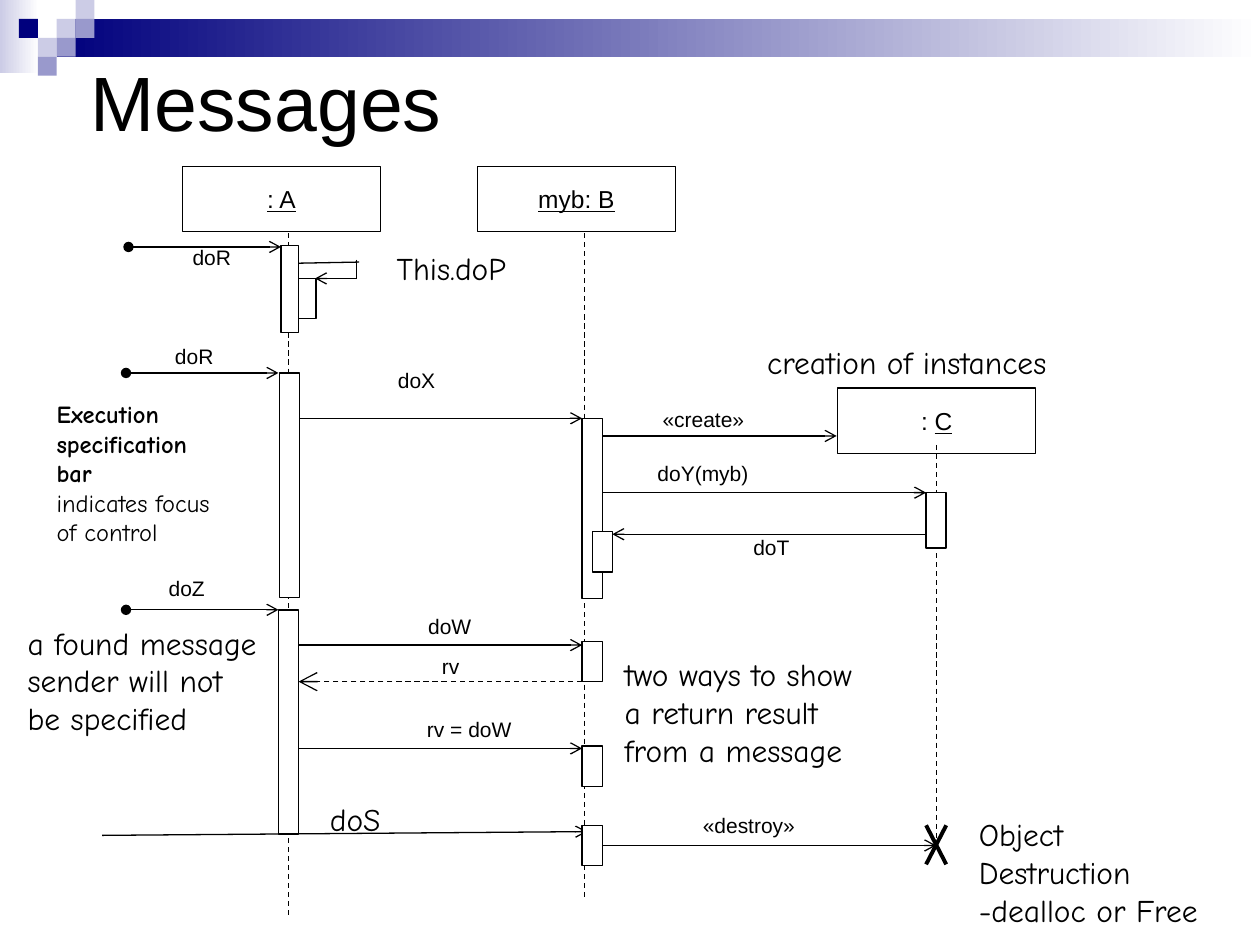
from lxml import etree
from pptx import Presentation
from pptx.dml.color import RGBColor
from pptx.enum.dml import MSO_LINE
from pptx.enum.shapes import MSO_CONNECTOR, MSO_SHAPE
from pptx.enum.text import MSO_ANCHOR, MSO_AUTO_SIZE, PP_ALIGN
from pptx.oxml.ns import qn
from pptx.util import Inches, Pt

RECTANGLE = MSO_SHAPE.RECTANGLE
STRAIGHT = MSO_CONNECTOR.STRAIGHT
DASH = MSO_LINE.DASH
MIDDLE = MSO_ANCHOR.MIDDLE
CENTER = PP_ALIGN.CENTER
GROW = MSO_AUTO_SIZE.SHAPE_TO_FIT_TEXT
LEFT_SIDE, RIGHT_SIDE = 1, 3

COLORS = {"ink": "000000", "paper": "FFFFFF", "navy": "00007D",
          "lavender": "CCCCE6", "violet": "9999CC"}
SANS, COMIC = "Arial", "Comic Neue"
SLIDE_WIDTH, SLIDE_HEIGHT = 10, 7.5

# Grid of the header mosaic
TILE = 0.15

# Columns: left and right edge of the execution bars on each lifeline
BAR = 0.16
SHORT_BAR, LONG_BAR = 0.32, 1.78
A_LEFT, B_LEFT, C_LEFT = 2.21, 4.62, 7.35
A_RIGHT, B_RIGHT, C_RIGHT = (left + BAR for left in (A_LEFT, B_LEFT, C_LEFT))
FOUND_LEFT = 1.0
C_MIDDLE = (C_LEFT + C_RIGHT) / 2

# Rows
DESTROY_TOP = 6.55
DESTROY_ROW = DESTROY_TOP + SHORT_BAR / 2
LABEL_HEIGHT, NOTE_LINE = 0.3, 0.3


def color(name):
    return RGBColor.from_string(COLORS[name])


def add_box(slide, left, top, width, height, fill=None, outline=True):
    """Rectangle; a pair of colour names as fill gives a gradient to the right."""
    shape = slide.shapes.add_shape(RECTANGLE, Inches(left), Inches(top),
                                   Inches(width), Inches(height))
    shape.shadow.inherit = False
    if fill is None:
        shape.fill.background()
    elif isinstance(fill, tuple):
        shape.fill.gradient()
        shape.fill.gradient_angle = 0
        for stop, name, position in zip(shape.fill.gradient_stops, fill, (0, 1)):
            stop.color.rgb = color(name)
            stop.position = position
    else:
        shape.fill.solid()
        shape.fill.fore_color.rgb = color(fill)
    if outline:
        shape.line.color.rgb = color("ink")
        shape.line.width = Pt(0.75)
    else:
        shape.line.fill.background()
    return shape


def add_run(paragraph, text, size, font=SANS, bold=False, underline=False):
    run = paragraph.add_run()
    run.text = text
    run.font.name = font
    run.font.size = Pt(size)
    run.font.color.rgb = color("ink")
    run.font.bold = bold
    run.font.underline = underline


def add_text(slide, left, top, width, height, lines, size, font=SANS,
             wrap=False, bold_lines=0):
    """Text box with one paragraph for each line."""
    box = slide.shapes.add_textbox(Inches(left), Inches(top),
                                   Inches(width), Inches(height))
    frame = box.text_frame
    frame.word_wrap = wrap
    frame.auto_size = GROW
    for index, line in enumerate(lines):
        paragraph = frame.add_paragraph() if index else frame.paragraphs[0]
        add_run(paragraph, line, size, font, bold=index < bold_lines)
    return box


def add_participant(slide, left, top, runs):
    """Head of a lifeline; runs are (text, underlined) pairs."""
    shape = add_box(slide, left, top, 1.57, 0.52)
    frame = shape.text_frame
    frame.word_wrap = False
    frame.vertical_anchor = MIDDLE
    frame.paragraphs[0].alignment = CENTER
    for text, underline in runs:
        add_run(frame.paragraphs[0], text, 14, underline=underline)


def add_line(slide, start, end, width=0.75, dashed=False, head=None, tail=None,
             arrow_size="med"):
    points = [Inches(value) for value in (*start, *end)]
    connector = slide.shapes.add_connector(STRAIGHT, *points)
    connector.line.color.rgb = color("ink")
    connector.line.width = Pt(width)
    if dashed:
        connector.line.dash_style = DASH
    properties = connector._element.spPr
    outline = properties.find(qn("a:ln"))
    for tag, kind in (("a:headEnd", head), ("a:tailEnd", tail)):
        if kind:
            etree.SubElement(outline, qn(tag), type=kind, w=arrow_size, len=arrow_size)
    etree.SubElement(properties, qn("a:effectLst"))
    return connector


def add_header(slide):
    add_box(slide, 0, 0, 0.31, 0.58, ("lavender", "paper"), outline=False)
    add_box(slide, 3 * TILE, TILE, SLIDE_WIDTH - 3 * TILE, 2 * TILE,
            ("navy", "paper"), outline=False)
    tiles = [(3, 1, "lavender"), (4, 0, "lavender"), (4, 1, "violet"),
             (2, 2, "lavender"), (1, 1, "navy"), (3, 2, "violet"), (2, 3, "violet")]
    for column, row, fill in tiles:
        add_box(slide, column * TILE, row * TILE, TILE, TILE, fill, outline=False)
    title = add_text(slide, 0.62, 0.05, 9, 1.5, ["Messages"], 44, wrap=True)
    title.text_frame.auto_size = MSO_AUTO_SIZE.NONE
    title.text_frame.vertical_anchor = MIDDLE


def add_lifelines(slide):
    add_participant(slide, 1.45, 1.32, [(": A", True)])
    add_participant(slide, 3.79, 1.32, [("myb: B", True)])
    add_participant(slide, 6.65, 3.08, [(": ", False), ("C", True)])
    for x, top, bottom in ((2.29, 1.85, 7.27), (4.64, 1.85, 7.12), (C_MIDDLE, 3.53, 6.7)):
        add_line(slide, (x, top), (x, bottom), dashed=True)


def add_messages(slide):
    # Found messages
    for left, right, y in ((1.02, 2.23, 1.96), (FOUND_LEFT, A_LEFT, 2.96),
                           (FOUND_LEFT, A_LEFT, 4.84)):
        add_line(slide, (left, y), (right, y), head="oval", tail="arrow")
    # Calls between lifelines
    calls = [(A_RIGHT, B_LEFT, 3.32), (B_RIGHT, 6.64, 3.46), (B_RIGHT, C_LEFT, 3.91),
             (C_LEFT, 4.86, 4.24), (A_RIGHT, B_LEFT, 5.12), (A_RIGHT, B_LEFT, 5.94)]
    for start, end, y in calls:
        add_line(slide, (start, y), (end, y), tail="arrow")
    add_line(slide, (0.81, 6.63), (4.66, 6.6), tail="arrow")
    # Return
    add_line(slide, (B_LEFT, 5.41), (A_RIGHT, 5.41), dashed=True, tail="arrow",
             arrow_size="lg")
    # Call to itself
    add_line(slide, (2.32, 2.09), (2.85, 2.08))
    add_line(slide, (2.83, 2.06), (2.83, 2.21))
    add_line(slide, (2.83, 2.21), (2.5, 2.21), tail="arrow")


def add_bars(slide):
    bars = [(2.35, 2.21, SHORT_BAR), (2.22, 2.96, LONG_BAR), (A_LEFT, 4.84, LONG_BAR),
            (B_LEFT, 3.32, 1.43), (4.7, 4.22, SHORT_BAR), (B_LEFT, 5.09, SHORT_BAR),
            (B_LEFT, 5.92, SHORT_BAR), (C_LEFT, 3.91, 0.44)]
    for left, top, height in bars:
        add_box(slide, left, top, BAR, height, "paper")
    add_box(slide, 2.23, 1.95, 0.14, 0.69, "paper")


def add_destruction(slide):
    sender = add_box(slide, B_LEFT, DESTROY_TOP, BAR, SHORT_BAR, "paper")
    message = add_line(slide, (B_RIGHT, DESTROY_ROW), (C_MIDDLE, DESTROY_ROW), tail="arrow")
    message.begin_connect(sender, RIGHT_SIDE)
    bottom = DESTROY_TOP + 0.31
    for start, end in ((C_LEFT, C_RIGHT), (C_RIGHT, C_LEFT)):
        add_line(slide, (start, DESTROY_TOP), (end, bottom), width=2.25)


def add_labels(slide):
    labels = [("doR", 1.43, 1.89, 0.51), ("doR", 1.29, 2.68, 0.51), ("doZ", 1.24, 4.52, 0.49),
              ("doX", 3.06, 2.87, 0.5), ("«create»", 5.16, 3.18, 0.85),
              ("doY(myb)", 5.12, 3.61, 0.93), ("doT", 5.88, 4.19, 0.49),
              ("doW", 3.3, 4.82, 0.54), ("rv", 3.41, 5.14, 0.34),
              ("rv = doW", 3.29, 5.64, 0.87), ("«destroy»", 5.48, 6.4, 0.93)]
    for text, left, top, width in labels:
        add_text(slide, left, top, width, LABEL_HEIGHT, [text], 12)


def add_notes(slide):
    notes = [(["This.doP"], 3.05, 1.93, 1.19), (["creation of instances"], 5.99, 2.67, 2.66),
             (["doS"], 2.52, 6.3, 2.03),
             (["a found message", "sender will not", "be specified"], 0.12, 4.9, 2.12),
             (["two ways to show", "a return result", "from a message"], 4.86, 5.15, 2.22),
             (["Object", "Destruction", "-dealloc or Free"], 7.67, 6.42, 2.08)]
    for lines, left, top, width in notes:
        height = 0.1 + NOTE_LINE * len(lines)
        add_text(slide, left, top, width, height, lines, 18, COMIC, wrap=lines == ["doS"])
    add_text(slide, 0.35, 3.12, 1.82, 1.28,
             ["Execution", "specification", "bar", "indicates focus", "of control"],
             14, COMIC, wrap=True, bold_lines=3)


def main():
    presentation = Presentation()
    presentation.slide_width = Inches(SLIDE_WIDTH)
    presentation.slide_height = Inches(SLIDE_HEIGHT)
    slide = presentation.slides.add_slide(presentation.slide_layouts[6])
    for add_part in (add_header, add_lifelines, add_messages, add_bars,
                     add_destruction, add_labels, add_notes):
        add_part(slide)
    presentation.save("out.pptx")


if __name__ == "__main__":
    main()
